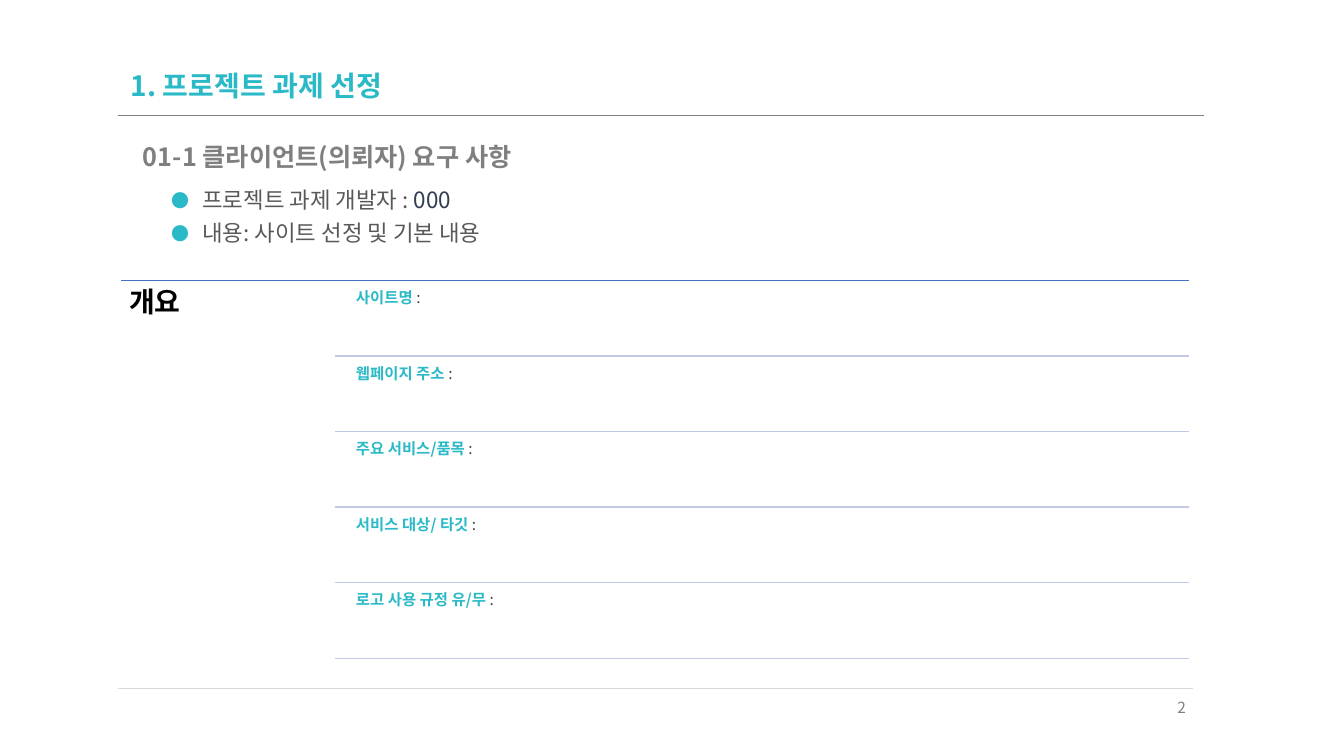
from dataclasses import dataclass
from lxml.etree import SubElement
from pptx import Presentation
from pptx.dml.color import RGBColor
from pptx.enum.shapes import MSO_CONNECTOR
from pptx.enum.text import MSO_ANCHOR, PP_ALIGN
from pptx.oxml.ns import qn
from pptx.util import Inches, Pt


@dataclass(frozen=True)
class Theme:
    """Font, colours and type sizes of the slide."""
    font: str = "Noto Sans CJK KR"
    teal: str = "2AB9C7"
    black: str = "000000"
    dark: str = "404040"
    navy: str = "333F50"
    body: str = "595959"
    gray: str = "7F7F7F"
    page: str = "808080"
    pale: str = "D9D9D9"
    blue: str = "4472C4"
    rule: str = "C1C9E4"
    title: int = 20
    sub: int = 18
    text: int = 16
    small: int = 11


THEME = Theme()


def add_rule(slide, left, right, top, color, width=1.0):
    """Draw a horizontal line."""
    line = slide.shapes.add_connector(
        MSO_CONNECTOR.STRAIGHT, Inches(left), Inches(top), Inches(right), Inches(top))
    line.line.color.rgb = RGBColor.from_string(color)
    line.line.width = Pt(width)
    SubElement(line._element.spPr, qn("a:effectLst"))


def add_run(para, text, size, color, bold=False):
    """Append a run of formatted text."""
    run = para.add_run()
    run.text = text
    run.font.name = THEME.font
    run.font.size = Pt(size)
    run.font.bold = bold
    run.font.color.rgb = RGBColor.from_string(color)
    SubElement(run._r.get_or_add_rPr(), qn("a:ea"), typeface=THEME.font)


def add_bullet(para):
    """Give a paragraph a hanging teal bullet."""
    props = para._p.get_or_add_pPr()
    indent = Inches(0.31)
    props.set("marL", str(indent))
    props.set("indent", str(-indent))
    color = SubElement(props, qn("a:buClr"))
    SubElement(color, qn("a:srgbClr"), val=THEME.teal)
    SubElement(props, qn("a:buSzPct"), val="80000")
    SubElement(props, qn("a:buFont"), typeface=THEME.font)
    SubElement(props, qn("a:buChar"), char="●")


def add_text(slide, box, paras, size, bold=False, inset=(0.1, 0.05), space=0.9,
             before=0, anchor=MSO_ANCHOR.TOP, align=PP_ALIGN.LEFT, bullet=False):
    """Place a text box whose paragraphs are lists of (text, colour) runs."""
    frame = slide.shapes.add_textbox(*map(Inches, box)).text_frame
    frame.word_wrap = True
    frame.vertical_anchor = anchor
    frame.margin_left = frame.margin_right = Inches(inset[0])
    frame.margin_top = frame.margin_bottom = Inches(inset[1])
    for i, runs in enumerate(paras):
        para = frame.add_paragraph() if i else frame.paragraphs[0]
        para.alignment = align
        para.line_spacing = space
        para.space_before = Pt(before if i else 0)
        if bullet:
            add_bullet(para)
        for j, (text, color) in enumerate(runs):
            add_run(para, text, size, color, bold and j == 0)


def add_rows(slide, labels, left, right, top, pitch):
    """Stack labelled rows, each closed by a line."""
    for i, label in enumerate(labels):
        y = top + i * pitch
        add_text(slide, (left + 0.16, y + 0.05, right - left - 0.16, 0.7),
                 [[(label + " ", THEME.teal), (":", THEME.dark)]],
                 THEME.small, bold=True, inset=(0.05, 0.05))
        add_rule(slide, left, right, y + pitch, THEME.rule)


def main():
    """Build the slide and save it."""
    deck = Presentation()
    deck.slide_width, deck.slide_height = Inches(13.33), Inches(7.5)
    slide = deck.slides.add_slide(deck.slide_layouts[6])
    add_rule(slide, 1.17, 11.94, 1.14, THEME.gray, 0.5)
    add_rule(slide, 1.17, 11.83, 6.83, THEME.pale, 0.5)
    add_text(slide, (1.2, 0.62, 10.78, 0.49), [[("1. 프로젝트 과제 선정", THEME.teal)]],
             THEME.title, bold=True, anchor=MSO_ANCHOR.MIDDLE)
    add_text(slide, (1.32, 1.39, 10.66, 0.34),
             [[("01-1 클라이언트(의뢰자) 요구 사항", THEME.gray)]], THEME.sub, bold=True)
    add_text(slide, (1.6, 1.85, 10.38, 0.34),
             [[("프로젝트 과제 개발자 : ", THEME.body), ("000", THEME.navy)],
              [("내용: 사이트 선정 및 기본 내용", THEME.body)]],
             THEME.text, space=0.8, before=8.5, bullet=True)
    add_rule(slide, 1.2, 11.79, 2.78, THEME.blue)
    add_text(slide, (1.2, 2.78, 2.12, 3.81), [[("개요", THEME.black)]],
             THEME.title, bold=True, inset=(0.08, 0.08))
    labels = ("사이트명", "웹페이지 주소", "주요 서비스/품목",
              "서비스 대상/ 타깃", "로고 사용 규정 유/무")
    add_rows(slide, labels, 3.32, 11.79, 2.78, 0.75)
    add_text(slide, (11.27, 6.88, 0.59, 0.4), [[("2", THEME.page)]],
             THEME.small, space=1.0, align=PP_ALIGN.RIGHT)
    deck.save("out.pptx")


if __name__ == "__main__":
    main()
